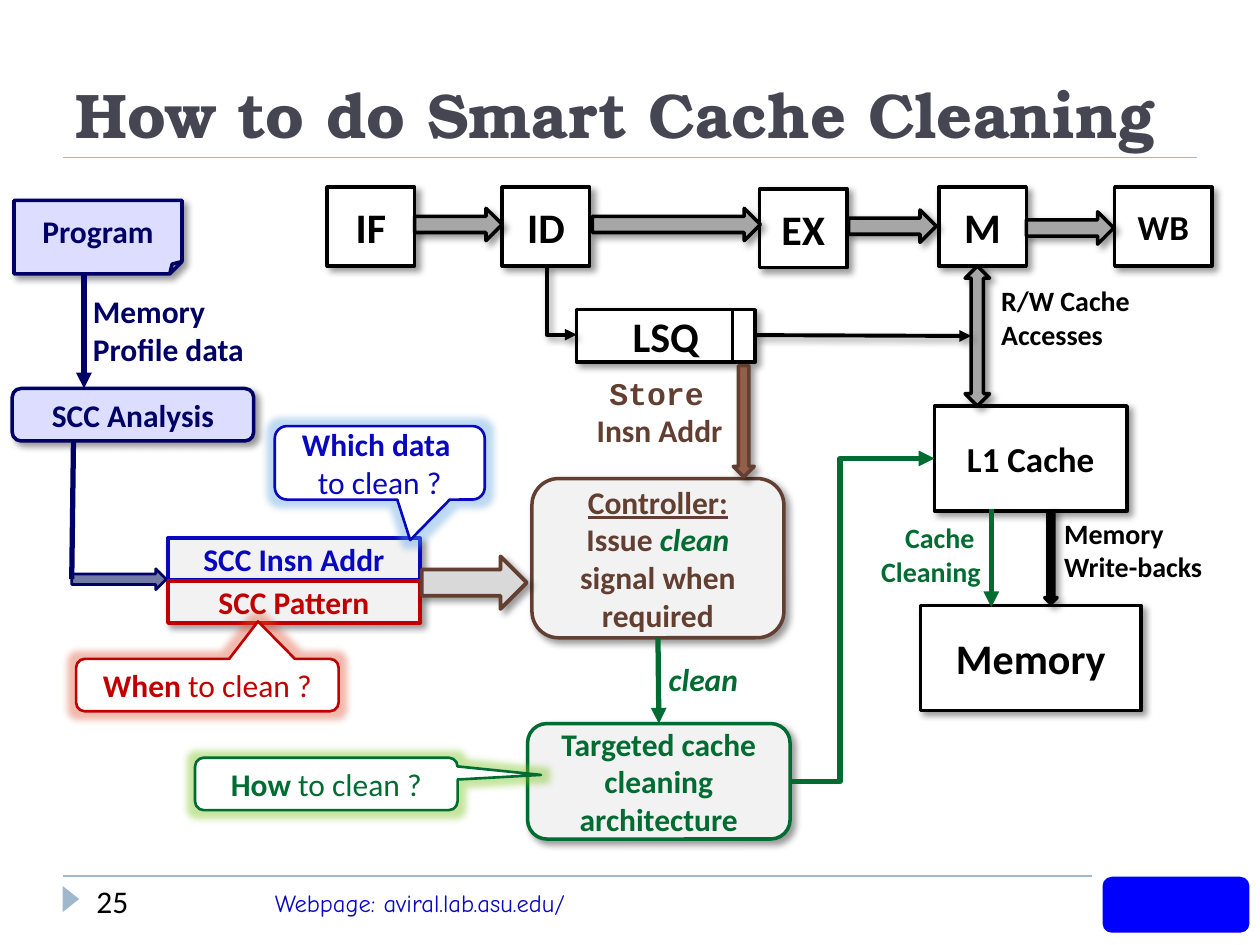
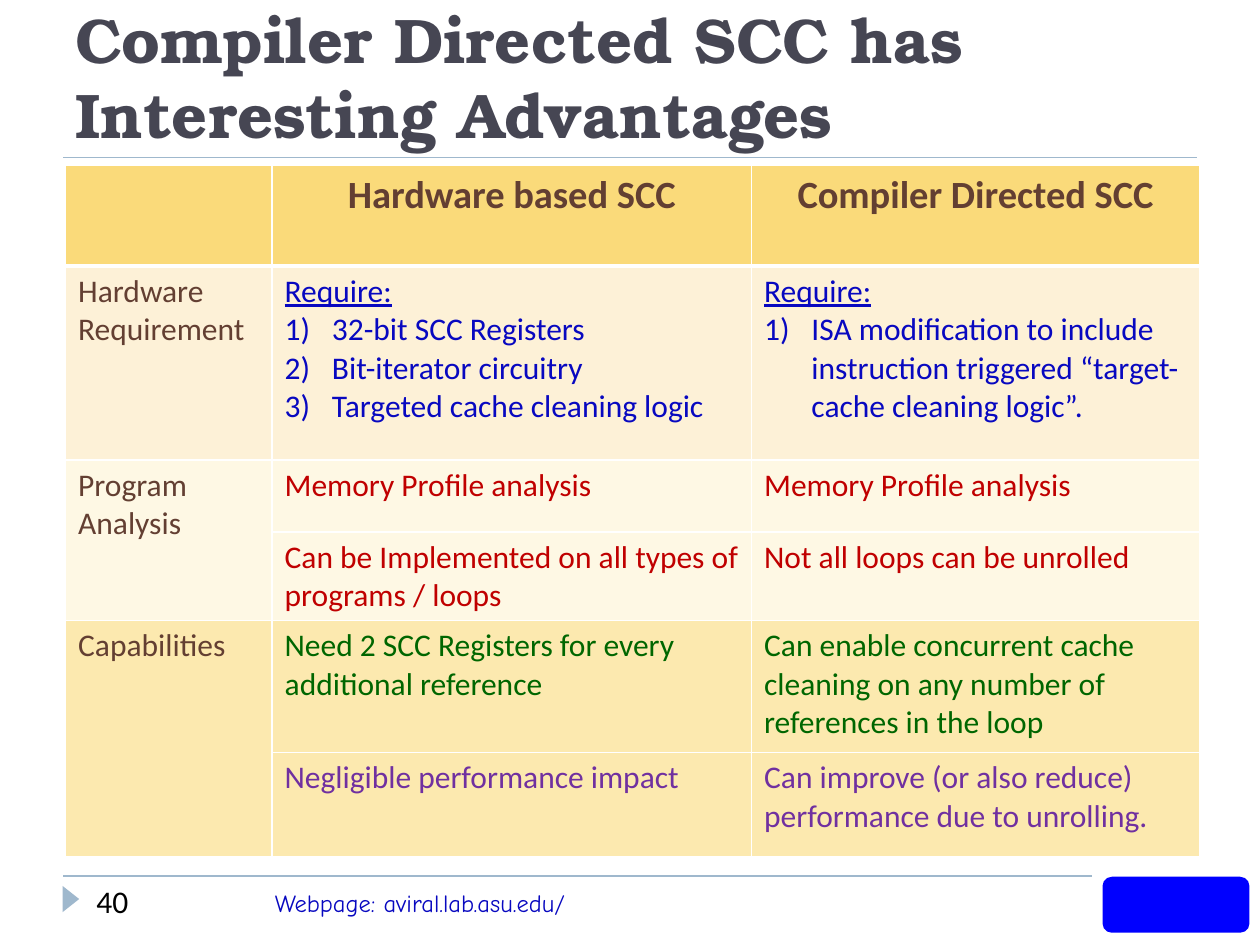
from lxml import etree
from pptx import Presentation
from pptx.dml.color import RGBColor
from pptx.enum import shapes, text
from pptx.oxml.ns import qn
from pptx.util import Pt

BLACK = RGBColor(0x00, 0x00, 0x00)
WHITE = RGBColor(0xFF, 0xFF, 0xFF)
SLATE = RGBColor(0x46, 0x46, 0x53)
RULE = RGBColor(0x9F, 0xB8, 0xCD)
BLUE = RGBColor(0x08, 0x08, 0xC0)
LOGO_BLUE = RGBColor(0x00, 0x00, 0xFF)
NAVY = RGBColor(0x00, 0x00, 0x66)
LAVENDER = RGBColor(0xDD, 0xDD, 0xFF)
STEEL = RGBColor(0x72, 0x7C, 0xA3)
RED = RGBColor(0xC0, 0x00, 0x00)
BROWN = RGBColor(0x63, 0x3F, 0x32)
RUST = RGBColor(0x95, 0x5E, 0x4B)
GREEN = RGBColor(0x00, 0x6C, 0x31)
DARK_GREEN = RGBColor(0x00, 0x66, 0x00)
PURPLE = RGBColor(0x70, 0x30, 0xA0)
PALE = RGBColor(0xF2, 0xF2, 0xF2)
LIGHT = RGBColor(0xD9, 0xD9, 0xD9)
GREY = RGBColor(0xA6, 0xA6, 0xA6)
HEADER = RGBColor(0xFA, 0xDA, 0x7A)
CREAM = RGBColor(0xFD, 0xF1, 0xD7)
IVORY = RGBColor(0xFE, 0xF8, 0xE4)
SAND = RGBColor(0xFC, 0xE9, 0xAF)

LEFT, CENTER, RIGHT = text.PP_ALIGN.LEFT, text.PP_ALIGN.CENTER, text.PP_ALIGN.RIGHT
TOP, MIDDLE, BOTTOM = text.MSO_ANCHOR.TOP, text.MSO_ANCHOR.MIDDLE, text.MSO_ANCHOR.BOTTOM
KIND = shapes.MSO_SHAPE
STRAIGHT, ELBOW = shapes.MSO_CONNECTOR.STRAIGHT, shapes.MSO_CONNECTOR.ELBOW

BOLD = {"bold": True}
UNDERLINE = {"underline": True}
# An effect is a tag, its attributes, a colour and an opacity in percent
SHADOW = ("a:outerShdw", {"blurRad": "50800", "dist": "38100", "dir": "2700000",
                          "algn": "tl", "rotWithShape": "0"}, BLACK, 40)


def write(frame, paragraphs, size, colour, align=LEFT, anchor=TOP, bold=False,
          name="Calibri", numbered=False):
    """Fill a frame; a paragraph is a string or a list of (words, font settings).

    With numbered, every paragraph after the first is a list item.
    """
    frame.word_wrap = True
    frame.vertical_anchor = anchor
    for number, spans in enumerate(paragraphs):
        para = frame.paragraphs[0] if number == 0 else frame.add_paragraph()
        para.alignment = align
        if numbered and number:
            props = para._p.get_or_add_pPr()
            props.set("marL", str(Pt(27)))
            props.set("indent", str(-Pt(27)))
            etree.SubElement(props, qn("a:buAutoNum"), type="arabicParenR")
        para.font.size = Pt(size)
        para.font.name = name
        para.font.bold = bold
        para.font.color.rgb = colour
        for words, settings in [(spans, {})] if isinstance(spans, str) else spans:
            span = para.add_run()
            span.text = words
            for key, value in settings.items():
                if key == "colour":
                    span.font.color.rgb = value
                else:
                    setattr(span.font, key, value)


def outline(item, colour, width, effect=None, arrow=False):
    """Set the line of a shape or connector, its arrowhead and its only effect."""
    item.line.color.rgb = colour
    item.line.width = Pt(width)
    props = item._element.spPr
    if arrow:
        etree.SubElement(props.find(qn("a:ln")), qn("a:tailEnd"), type="triangle")
    effects = etree.SubElement(props, qn("a:effectLst"))
    if effect:
        tag, settings, tint, opacity = effect
        node = etree.SubElement(effects, qn(tag), settings)
        tone = etree.SubElement(node, qn("a:srgbClr"), val=str(tint))
        etree.SubElement(tone, qn("a:alpha"), val=str(opacity * 1000))


deck = Presentation()
deck.slide_width, deck.slide_height = Pt(720), Pt(540)

# Title, rules and footer of both slides
pages = []
for title, number in [("How to do Smart Cache Cleaning", "25"),
                      ("Compiler Directed SCC has Interesting Advantages", "40")]:
    page = deck.slides.add_slide(deck.slide_layouts[6])
    pages.append(page)
    for y, right in [(500.5, 624), (90, 684)]:
        rule = page.shapes.add_connector(STRAIGHT, Pt(36), Pt(y), Pt(right), Pt(y))
        outline(rule, RULE, 1)
    marker = page.shapes.add_shape(KIND.ISOSCELES_TRIANGLE, Pt(33), Pt(509), Pt(15), Pt(9.5))
    marker.rotation = 90
    marker.fill.solid()
    marker.fill.fore_color.rgb = RULE
    marker.line.fill.background()
    marker.shadow.inherit = False
    logo = page.shapes.add_shape(KIND.ROUNDED_RECTANGLE, Pt(630), Pt(501), Pt(84), Pt(32))
    logo.fill.solid()
    logo.fill.fore_color.rgb = LOGO_BLUE
    logo.line.fill.background()
    logo.shadow.inherit = False
    for words, place, size, colour, anchor, bold, font in [
        (title, (36, 12, 648, 78), 36, SLATE, BOTTOM, True, "TeX Gyre Bonum"),
        ("Webpage: aviral.lab.asu.edu/", (150, 504, 270, 24), 14, BLUE, TOP, False, "Comic Neue"),
        (number, (48, 500.5, 101, 29), 18, BLACK, TOP, False, "Calibri"),
    ]:
        box = page.shapes.add_textbox(*map(Pt, place))
        write(box.text_frame, [words], size, colour, anchor=anchor, bold=bold, name=font)

diagram, comparison = pages

# Diagram: boxes
for kind, place, fill, colour, size, paragraphs in [
    (KIND.RECTANGLE, (96, 307.5, 144, 24), PALE, BLUE, 18, ["SCC Insn Addr"]),
    (KIND.RECTANGLE, (96, 332, 144, 24), PALE, RED, 18, ["SCC Pattern"]),
    (KIND.RECTANGLE, (187, 107, 50, 45), WHITE, BLACK, 24, ["IF"]),
    (KIND.RECTANGLE, (287, 107, 50, 45), WHITE, BLACK, 24, ["ID"]),
    (KIND.RECTANGLE, (434, 108, 50, 45), WHITE, BLACK, 24, ["EX"]),
    (KIND.RECTANGLE, (536.5, 107, 50, 45), WHITE, BLACK, 24, ["M"]),
    (KIND.RECTANGLE, (637, 107, 55.5, 45), WHITE, BLACK, 20, ["WB"]),
    (KIND.RECTANGLE, (534, 232, 110, 60), WHITE, BLACK, 20, ["L1 Cache"]),
    (KIND.RECTANGLE, (526, 346, 126, 60), WHITE, BLACK, 24, ["Memory"]),
    (KIND.RECTANGLE, (329.5, 177, 102, 30), WHITE, BLACK, 24, ["LSQ"]),
    (KIND.ROUNDED_RECTANGLE, (304, 273.5, 144, 91), PALE, BROWN, 18,
     [[("Controller:", UNDERLINE), (" Issue ", {}),
       ("clean ", {"colour": GREEN, "italic": True}), ("signal when required", {})]]),
    (KIND.ROUNDED_RECTANGLE, (301.5, 413.5, 150, 66), PALE, GREEN, 18,
     ["Targeted cache cleaning architecture"]),
    (KIND.FOLDED_CORNER, (8, 114.5, 96, 42), LAVENDER, NAVY, 18, ["Program"]),
    (KIND.ROUNDED_RECTANGLE, (7, 222, 138, 30), LAVENDER, NAVY, 18, ["SCC Analysis"]),
]:
    box = diagram.shapes.add_shape(kind, *map(Pt, place))
    box.fill.solid()
    box.fill.fore_color.rgb = fill
    outline(box, colour, 2, SHADOW)
    write(box.text_frame, paragraphs, size, colour, CENTER, MIDDLE, bold=True)

# Diagram: block arrows
for kind, place, fill, colour, width in [
    (KIND.RIGHT_ARROW, (237, 119, 50, 18.5), GREY, BLACK, 2),
    (KIND.RIGHT_ARROW, (338.5, 119, 96, 18.5), GREY, BLACK, 2),
    (KIND.RIGHT_ARROW, (485, 120, 50, 18.5), GREY, BLACK, 2),
    (KIND.RIGHT_ARROW, (586.5, 121, 50, 18.5), GREY, BLACK, 2),
    (KIND.UP_DOWN_ARROW, (551.5, 152, 14, 80), GREY, BLACK, 2),
    (KIND.DOWN_ARROW, (597, 292, 7, 53), BLACK, BLACK, 2),
    (KIND.DOWN_ARROW, (419, 209, 12, 63.5), RUST, BROWN, 2),
    (KIND.RIGHT_ARROW, (241, 318, 60, 30), LIGHT, BROWN, 2.25),
    (KIND.RIGHT_ARROW, (41, 325, 54, 12), STEEL, NAVY, 1.5),
]:
    arrow = diagram.shapes.add_shape(kind, *map(Pt, place))
    arrow.fill.solid()
    arrow.fill.fore_color.rgb = fill
    outline(arrow, colour, width, SHADOW if colour != NAVY else None)

# Diagram: questions in callouts
for place, pointer, colour, glow, paragraphs in [
    ((157, 243.5, 120, 42), (0.145, 1.051), BLUE, RGBColor(0x5B, 0xA0, 0xE0),
     [[("Which data ", BOLD)], "to clean ?"]),
    ((43.5, 376.5, 150, 30), (0.193, -1.213), RED, RGBColor(0xE0, 0x50, 0x30),
     [[("When", BOLD), (" to clean ?", {})]]),
    ((111.5, 433, 150, 30), (0.818, -0.172), GREEN, RGBColor(0x70, 0xC0, 0x10),
     [[("How", BOLD), (" to clean ?", {})]]),
]:
    callout = diagram.shapes.add_shape(KIND.ROUNDED_RECTANGULAR_CALLOUT, *map(Pt, place))
    callout.adjustments[0], callout.adjustments[1] = pointer
    callout.fill.solid()
    callout.fill.fore_color.rgb = WHITE
    outline(callout, colour, 1.5, ("a:glow", {"rad": str(Pt(8))}, glow, 40))
    write(callout.text_frame, paragraphs, 18, colour, CENTER, MIDDLE)

# Diagram: straight lines
for ends, colour, width, effect, arrow in [
    ((431.5, 191.5, 555, 192), BLACK, 2.25, SHADOW, True),
    ((418.5, 177, 418.5, 207), BLACK, 1.5, None, False),
    ((376, 364.5, 376.5, 413.5), GREEN, 3, None, True),
    ((566.5, 291, 566.5, 347), GREEN, 3, None, True),
    ((42, 252, 41, 331), NAVY, 3, None, False),
    ((48, 156.5, 48, 222), NAVY, 3, None, True),
]:
    line = diagram.shapes.add_connector(STRAIGHT, *map(Pt, ends))
    outline(line, colour, width, effect, arrow)

# Diagram: ID down to LSQ, one corner, as a turned and mirrored connector
id_to_lsq = diagram.shapes.add_connector(ELBOW, Pt(340.75), Pt(163), Pt(301.25), Pt(180))
id_to_lsq._element.spPr.find(qn("a:prstGeom")).set("prst", "bentConnector2")
id_to_lsq._element.spPr.find(qn("a:xfrm")).set("rot", "16200000")
outline(id_to_lsq, BLACK, 2.25, SHADOW, arrow=True)

# Diagram: cleaning architecture up to the L1 cache
clean_to_cache = diagram.shapes.add_connector(ELBOW, Pt(451.5), Pt(446.5), Pt(534), Pt(262))
bends = clean_to_cache._element.spPr.find(qn("a:prstGeom")).get_or_add_avLst()
etree.SubElement(bends, qn("a:gd"), name="adj1", fmla="val 34600")
outline(clean_to_cache, GREEN, 3, arrow=True)

# Diagram: labels
for place, size, colour, align, paragraphs in [
    ((565, 158.5, 104, 46), 16, BLACK, LEFT, ["R/W Cache", "Accesses"]),
    ((601, 291.5, 106, 46), 16, BLACK, LEFT, ["Memory", "Write-backs"]),
    ((321, 210, 99, 51), 18, BROWN, RIGHT, [[("Store ", {"name": "Courier New"})], "Insn Addr"]),
    ((375, 373.5, 61, 29), 18, GREEN, LEFT, [[("clean", {"italic": True})]]),
    ((484.5, 294, 83, 46), 16, GREEN, RIGHT, ["Cache ", "Cleaning"]),
    ((46, 163.5, 114, 51), 18, NAVY, LEFT, ["Memory", "Profile data"]),
]:
    label = diagram.shapes.add_textbox(*map(Pt, place))
    write(label.text_frame, paragraphs, size, colour, align, bold=True)

# Comparison table: height, fill, colour of the two value columns, cells
REQUIRE = [("Require:", UNDERLINE)]
rows = [
    (57.5, HEADER, BROWN, [[], ["Hardware based SCC"], ["Compiler Directed SCC"]]),
    (111, CREAM, BLUE, [
        ["Hardware", "Requirement"],
        [REQUIRE, "32-bit SCC Registers", "Bit-iterator circuitry", "Targeted cache cleaning logic"],
        [REQUIRE, "ISA modification to include instruction triggered “target-cache cleaning logic”."]]),
    (41, IVORY, RED, [["Program Analysis"], ["Memory Profile analysis"], ["Memory Profile analysis"]]),
    (50.5, IVORY, RED, [[], ["Can be Implemented on all types of programs / loops"],
                        ["Not all loops can be unrolled"]]),
    (75.5, SAND, DARK_GREEN, [
        ["Capabilities"], ["Need 2 SCC Registers for every additional reference"],
        ["Can enable concurrent cache cleaning on any number of references in the loop"]]),
    (59.5, SAND, PURPLE, [[], ["Negligible performance impact"],
                          ["Can improve (or also reduce) performance due to unrolling."]]),
]
table = comparison.shapes.add_table(len(rows), 3, Pt(37.5), Pt(94.5), Pt(648), Pt(395)).table
table.first_row = table.horz_banding = False
for column, width in zip(table.columns, (118, 274, 256)):
    column.width = Pt(width)
for r, (height, fill, colour, cells) in enumerate(rows):
    table.rows[r].height = Pt(height)
    for c, paragraphs in enumerate(cells):
        cell = table.cell(r, c)
        props = cell._tc.get_or_add_tcPr()
        for side in ("L", "R", "T", "B"):
            under_header = (r, side) in ((0, "B"), (1, "T"))
            border = etree.SubElement(props, qn("a:ln" + side), w=str(Pt(3 if under_header else 1)))
            paint = etree.SubElement(border, qn("a:solidFill"))
            etree.SubElement(paint, qn("a:srgbClr"), val=str(WHITE))
        cell.fill.solid()
        cell.fill.fore_color.rgb = fill
        write(cell.text_frame, paragraphs, 18 if r else 22, colour if c else BROWN,
              LEFT if r else CENTER, bold=r == 0, numbered=r == 1 and c > 0)
for r in (2, 4):
    table.cell(r, 0).merge(table.cell(r + 1, 0))

deck.save("out.pptx")
